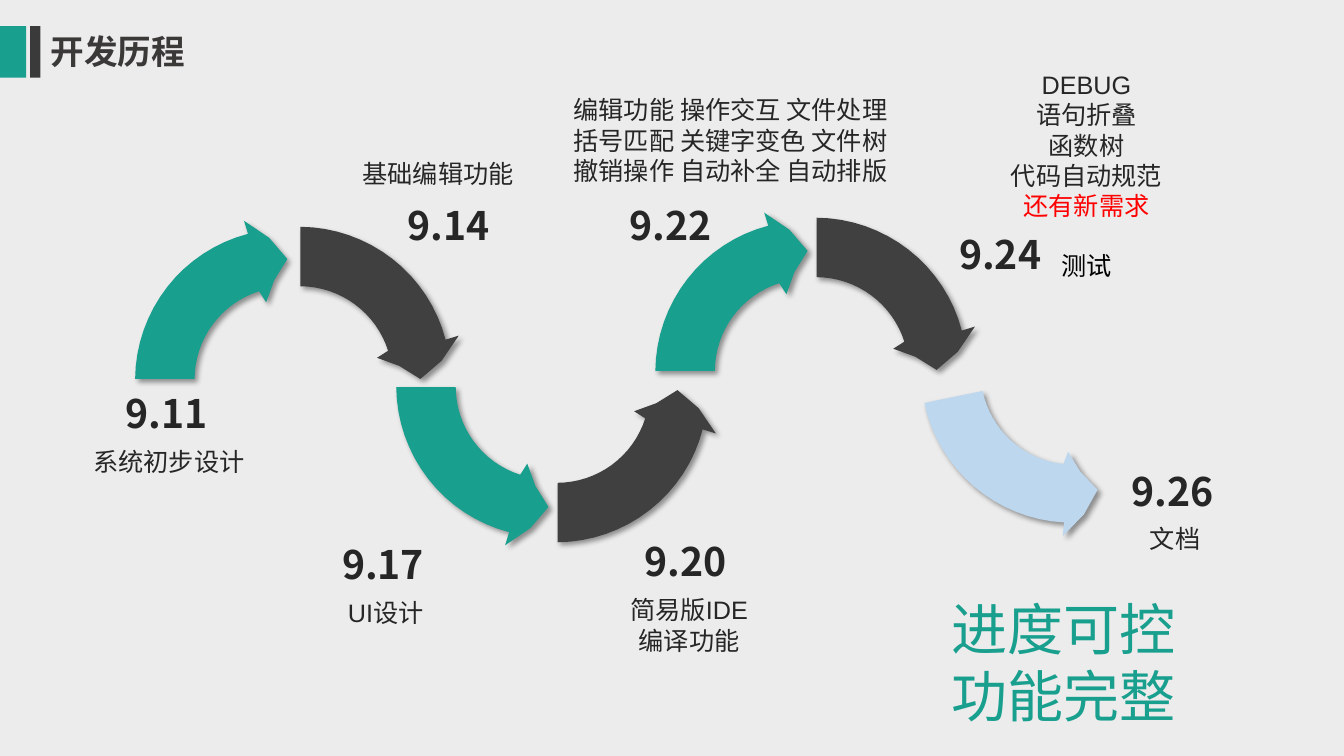
from dataclasses import dataclass
from math import atan2, cos, hypot, pi, sin

from lxml.etree import SubElement
from pptx import Presentation
from pptx.dml.color import RGBColor
from pptx.enum.shapes import MSO_SHAPE as Preset
from pptx.enum.text import MSO_ANCHOR as Anchor
from pptx.enum.text import MSO_AUTO_SIZE as AutoSize
from pptx.enum.text import PP_ALIGN as Align
from pptx.oxml.ns import qn
from pptx.util import Inches, Pt

COLORS = {
    "background": "ECECEC",
    "teal": "199F8E",
    "charcoal": "404040",
    "bar": "3A3A3A",
    "title": "3B3838",
    "sky": "BDD7EE",
    "text": "262626",
    "red": "FF0000",
    "black": "000000",
}
HEADING_FONT = "Noto Sans CJK SC"
BODY_FONT = "Arial"
SLOGAN_FONT = "Arial Narrow"

# Arrow outline from left to top around the ring centre, x right and y up.
HEAD = [(-0.43, 1.57), (-0.18, 1.4), (0, 1.19), (-0.13, 0.98), (-0.21, 0.76)]
INNER_ARC = ((-0.28, 0.87), (-0.92, 0))
OUTER_ARC = ((-1.51, 0), (-0.39, 1.44))
ARC_STEPS = 16


@dataclass
class Arrow:
    x: float
    y: float
    color: str
    from_left: bool
    downward: bool = False
    rotation: float = 0


@dataclass
class Line:
    text: str
    color: str = "text"
    space_before: float = 0


@dataclass
class Milestone:
    date: str
    date_left: float
    date_top: float
    left: float
    top: float
    width: float
    height: float
    lines: list[Line]


ARROWS = [
    Arrow(2.85, 3.76, "teal", from_left=True),
    Arrow(2.98, 3.76, "charcoal", from_left=False),
    Arrow(5.44, 3.84, "teal", from_left=True, downward=True),
    Arrow(5.53, 3.87, "charcoal", from_left=False, downward=True),
    Arrow(8.01, 3.68, "teal", from_left=True),
    Arrow(8.1, 3.67, "charcoal", from_left=False),
    Arrow(10.82, 3.83, "sky", from_left=True, downward=True, rotation=348.4),
]

MILESTONES = [
    Milestone("9.11", 1.13, 3.81, 0.3, 4.38, 2.75, 0.4, [Line("系统初步设计")]),
    Milestone("9.14", 3.93, 1.95, 2.97, 1.52, 2.75, 0.4, [Line("基础编辑功能")]),
    Milestone("9.17", 3.28, 5.31, 2.45, 5.88, 2.75, 0.4, [Line("UI设计")]),
    Milestone("9.20", 6.28, 5.28, 5.46, 5.85, 2.75, 0.71,
              [Line("简易版IDE"), Line("编译功能")]),
    Milestone("9.22", 6.13, 1.95, 5.46, 0.89, 3.57, 1.01,
              [Line("编辑功能 操作交互 文件处理 括号匹配 关键字变色 文件树 "
                    "撤销操作 自动补全 自动排版")]),
    Milestone("9.24", 9.4, 2.24, 9.4, 0.64, 2.75, 2.22,
              [Line("DEBUG"), Line("语句折叠"), Line("函数树"), Line("代码自动规范"),
               Line("还有新需求", "red"), Line("测试", "black", space_before=21)]),
    Milestone("9.26", 11.11, 4.59, 10.28, 5.14, 2.75, 0.4, [Line("文档")]),
]


def rgb(name: str) -> RGBColor:
    return RGBColor.from_string(COLORS[name])


def paint(shape, color: str) -> None:
    shape.fill.solid()
    shape.fill.fore_color.rgb = rgb(color)
    shape.line.fill.background()
    shape.shadow.inherit = False


def add_soft_shadow(shape) -> None:
    effects = shape.element.spPr.find(qn("a:effectLst"))
    shadow = SubElement(effects, qn("a:outerShdw"), blurRad=str(Pt(4)),
                        dist=str(Pt(3)), dir=str(45 * 60000), algn="tl",
                        rotWithShape="0")
    color = SubElement(shadow, qn("a:srgbClr"), val=COLORS["black"])
    SubElement(color, qn("a:alpha"), val="40000")


def arc_points(start: tuple, end: tuple) -> list[tuple]:
    """Points on a smooth sweep about the ring centre."""
    angles = [atan2(y, x) % (2 * pi) for x, y in (start, end)]
    radii = [hypot(*start), hypot(*end)]
    points = []
    for step in range(ARC_STEPS + 1):
        share = step / ARC_STEPS
        angle = angles[0] + (angles[1] - angles[0]) * share
        radius = radii[0] + (radii[1] - radii[0]) * share
        points.append((radius * cos(angle), radius * sin(angle)))
    return points


def add_arrow(slide, arrow: Arrow) -> None:
    outline = HEAD + arc_points(*INNER_ARC) + arc_points(*OUTER_ARC)
    points = []
    for x, y in outline:
        if not arrow.from_left:
            x, y = y, -x
        if arrow.downward:
            y = -y
        points.append((Inches(arrow.x + x), Inches(arrow.y - y)))
    builder = slide.shapes.build_freeform(*points[0])
    builder.add_line_segments(points[1:], close=True)
    shape = builder.convert_to_shape()
    paint(shape, arrow.color)
    add_soft_shadow(shape)
    shape.rotation = arrow.rotation


def write_lines(box, lines: list[Line], font: str, size: float,
                bold: bool = False, align: Align = Align.CENTER,
                wrap: bool = True, anchor: Anchor = Anchor.TOP) -> None:
    frame = box.text_frame
    frame.word_wrap = wrap
    frame.auto_size = AutoSize.NONE
    frame.vertical_anchor = anchor
    for index, line in enumerate(lines):
        para = frame.add_paragraph() if index else frame.paragraphs[0]
        para.text = line.text
        para.alignment = align
        para.space_before = Pt(line.space_before)
        para.font.name = font
        para.font.size = Pt(size)
        para.font.bold = bold
        para.font.color.rgb = rgb(line.color)


def add_box(slide, left: float, top: float, width: float, height: float):
    return slide.shapes.add_textbox(Inches(left), Inches(top),
                                    Inches(width), Inches(height))


def add_milestone(slide, stone: Milestone) -> None:
    date_box = add_box(slide, stone.date_left, stone.date_top, 1.04, 0.57)
    write_lines(date_box, [Line(stone.date)], HEADING_FONT, 28, bold=True, wrap=False)
    text_box = add_box(slide, stone.left, stone.top, stone.width, stone.height)
    write_lines(text_box, stone.lines, BODY_FONT, 18)


def add_header(slide) -> None:
    for left, width, color in ((0, 0.26, "teal"), (0.3, 0.1, "bar")):
        bar = slide.shapes.add_shape(Preset.RECTANGLE, Inches(left), Inches(0.26),
                                     Inches(width), Inches(0.51))
        paint(bar, color)
    title = slide.shapes.title
    title.left, title.top = Inches(0.4), Inches(0.26)
    title.width, title.height = Inches(1.77), Inches(0.5)
    write_lines(title, [Line("开发历程", "title")], HEADING_FONT, 24,
                bold=True, align=Align.JUSTIFY)


def main() -> None:
    deck = Presentation()
    deck.slide_width, deck.slide_height = Inches(13.33), Inches(7.5)
    slide = deck.slides.add_slide(deck.slide_layouts.get_by_name("Title Only"))
    slide.background.fill.solid()
    slide.background.fill.fore_color.rgb = rgb("background")
    add_header(slide)
    for arrow in ARROWS:
        add_arrow(slide, arrow)
    for stone in MILESTONES:
        add_milestone(slide, stone)
    slogan = add_box(slide, 9.34, 5.89, 2.63, 1.34)
    write_lines(slogan, [Line("进度可控", "teal"), Line("功能完整", "teal")],
                SLOGAN_FONT, 40, align=Align.LEFT, anchor=Anchor.MIDDLE)
    deck.save("out.pptx")


if __name__ == "__main__":
    main()
